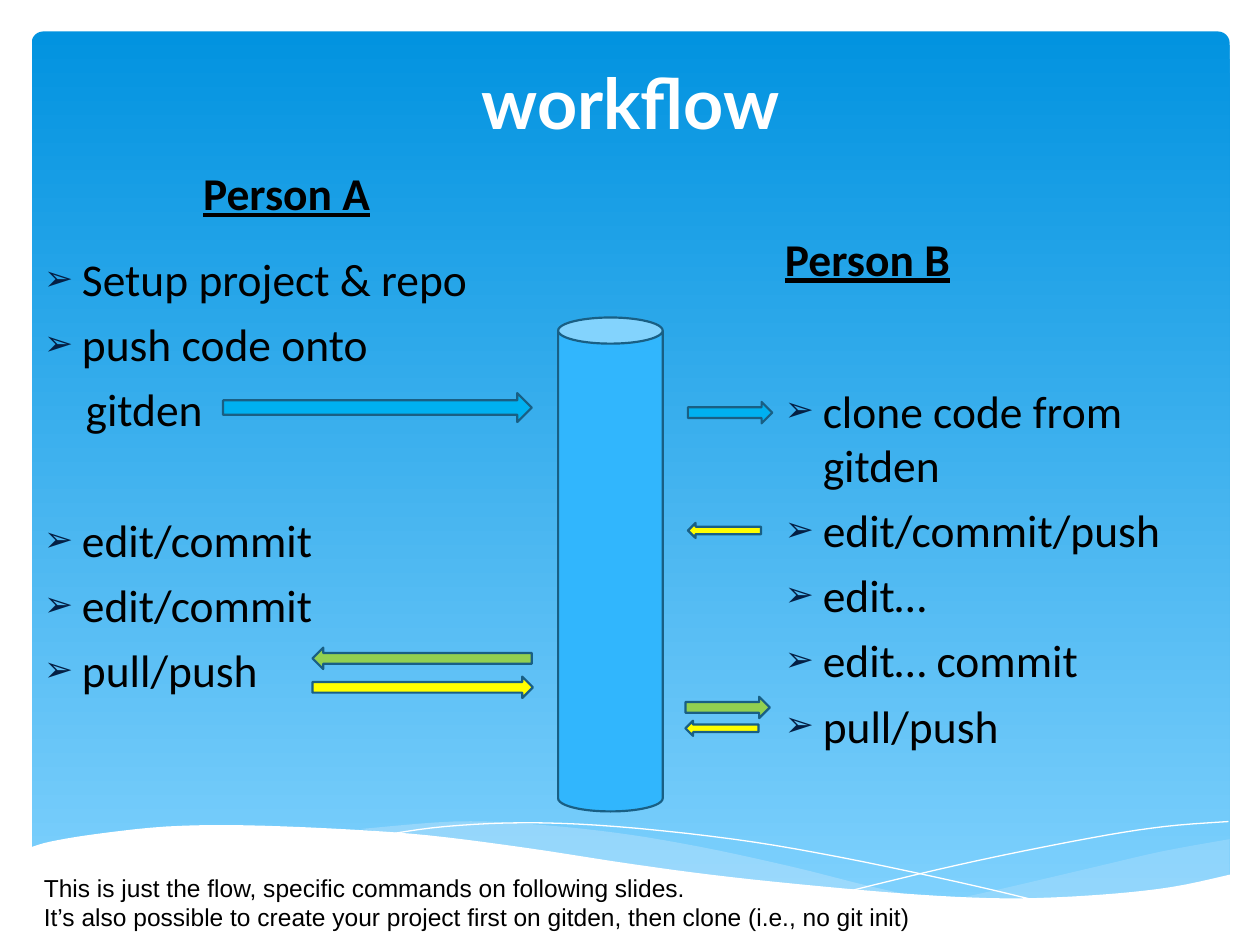
from lxml.etree import SubElement
from pptx import Presentation
from pptx.dml.color import RGBColor
from pptx.enum.shapes import MSO_SHAPE
from pptx.enum.text import MSO_ANCHOR, MSO_AUTO_SIZE, PP_ALIGN
from pptx.oxml.ns import qn
from pptx.util import Inches, Pt

COLORS = {
    "white": "FFFFFF", "black": "000000", "bullet": "041F44",
    "sky_top": "0293E0", "sky_bottom": "83D3FE", "mist": "C6E7FC",
    "outline": "195F84", "cylinder": "31B6FD",
    "blue": "00B0F0", "green": "92D050", "yellow": "FFFF00",
}
BLANK_LINE = 37.7

BACK_WAVE = [
    [(9.76, 6.66), (9.21, 6.76), (8.61, 6.9), (7.79, 7.09), (7.06, 7.24), (6.61, 7.32)],
    [(6.61, 7.32), (7.19, 7.39), (7.81, 7.44), (8.35, 7.44), (8.81, 7.4), (9.28, 7.3), (9.76, 7.14)],
]
MIDDLE_WAVE = [
    [(8.93, 7.39), (8.07, 7.27), (7.06, 7.07), (6.29, 6.88), (5.55, 6.72), (4.89, 6.61),
     (4.2, 6.54), (3.61, 6.52), (2.86, 6.58)],
    [(2.86, 6.58), (3.62, 6.69), (4.49, 6.88), (5.66, 7.15), (6.5, 7.3), (7.22, 7.4),
     (7.85, 7.45), (8.38, 7.45), (8.93, 7.39)],
]
FALLING_LINE = [[(3.09, 6.62), (3.53, 6.56), (4.16, 6.53), (4.89, 6.56), (5.82, 6.66),
                 (6.65, 6.8), (7.6, 7), (8.31, 7.17), (9.07, 7.38)]]
RISING_LINE = [[(6.13, 7.23), (6.95, 7.02), (7.76, 6.83), (8.66, 6.65), (9.24, 6.56), (9.75, 6.52)]]
FRONT_WAVE = [
    [(9.77, 6.94), (9.3, 7.04), (8.75, 7.1), (8.09, 7.13), (7.44, 7.11), (6.68, 7.05),
     (5.79, 6.96), (5.03, 6.86), (4.18, 6.73), (3.4, 6.63), (2.71, 6.58), (1.93, 6.55),
     (1.32, 6.56), (0.76, 6.62), (0.4, 6.68), (0.23, 6.73)],
    [(0.23, 7.47), (9.77, 7.47)],
]


def smooth(knots, steps=5):
    if len(knots) < 3:
        return knots
    padded = [knots[0], *knots, knots[-1]]
    points = []
    for a, b, c, d in zip(padded, padded[1:], padded[2:], padded[3:]):
        for step in range(steps):
            t = step / steps
            points.append(tuple(
                q + t / 2 * (r - p + t * (2 * p - 5 * q + 4 * r - s + t * (3 * (q - r) + s - p)))
                for p, q, r, s in zip(a, b, c, d)))
    return points + [knots[-1]]


class SlideBuilder:
    body_font = "Calibri"
    body_size = 26

    def __init__(self, page):
        self.page = page

    def color(self, name):
        return RGBColor.from_string(COLORS[name])

    def format_runs(self, paragraph, font, size, color, bold=False, underline=False):
        for span in paragraph.runs:
            span.font.name = font
            span.font.size = Pt(size)
            span.font.color.rgb = self.color(color)
            span.font.bold = bold
            span.font.underline = underline

    def place(self, box, left, top, width, height):
        box.left, box.top = Inches(left), Inches(top)
        box.width, box.height = Inches(width), Inches(height)
        box.element.getparent().append(box.element)
        box.text_frame.auto_size = MSO_AUTO_SIZE.NONE
        box.text_frame.word_wrap = True

    def sky(self, left, top, width, height):
        panel = self.page.shapes.add_shape(
            MSO_SHAPE.ROUNDED_RECTANGLE, Inches(left), Inches(top), Inches(width), Inches(height))
        panel.adjustments[0] = 0.013
        panel.shadow.inherit = False
        panel.line.fill.background()
        panel.fill.gradient()
        panel.fill.gradient_angle = 270
        for stop, name in zip(panel.fill.gradient_stops, ("sky_top", "sky_bottom")):
            stop.color.rgb = self.color(name)

    def curve(self, parts, fill=None, opacity=None):
        points = [(Inches(x), Inches(y)) for part in parts for x, y in smooth(part)]
        builder = self.page.shapes.build_freeform(*points[0])
        builder.add_line_segments(points[1:], close=fill is not None)
        shape = builder.convert_to_shape()
        shape.shadow.inherit = False
        if fill is None:
            shape.fill.background()
            shape.line.color.rgb = self.color("white")
            shape.line.width = Pt(0)
            return
        shape.line.fill.background()
        shape.fill.solid()
        shape.fill.fore_color.rgb = self.color(fill)
        if opacity:
            solid = shape.element.spPr.find(qn("a:solidFill"))
            SubElement(solid[0], qn("a:alpha"), val=str(opacity * 1000))

    def title(self, text, *place):
        box = self.page.shapes.title
        self.place(box, *place)
        box.text_frame.text = text
        box.text_frame.vertical_anchor = MSO_ANCHOR.MIDDLE
        paragraph = box.text_frame.paragraphs[0]
        paragraph.alignment = PP_ALIGN.CENTER
        self.format_runs(paragraph, "Lato", 40, "white", bold=True)

    def set_bullet(self, paragraph, bulleted, margin):
        properties = paragraph._p.get_or_add_pPr()
        properties.set("marL", str(Inches(margin)))
        properties.set("indent", str(Inches(-margin if bulleted else 0)))
        if not bulleted:
            SubElement(properties, qn("a:buNone"))
            return
        color = SubElement(properties, qn("a:buClr"))
        SubElement(color, qn("a:srgbClr"), val=COLORS["bullet"])
        SubElement(properties, qn("a:buSzPct"), val="76000")
        SubElement(properties, qn("a:buChar"), char="➢")

    def person(self, index, heading, alignment, items, *place):
        box = self.page.placeholders[index]
        self.place(box, *place)
        frame = box.text_frame
        frame.vertical_anchor = MSO_ANCHOR.TOP
        first = frame.paragraphs[0]
        first.text = heading
        self.set_bullet(first, False, 0)
        first.alignment = alignment
        first.space_before, first.space_after = Pt(0), Pt(12)
        self.format_runs(first, self.body_font, self.body_size, "black", True, True)
        for text, bulleted, gap in items:
            paragraph = frame.add_paragraph()
            paragraph.text = text
            self.set_bullet(paragraph, bulleted, 0.3 if bulleted else 0.33)
            paragraph.space_before = Pt(6 + gap)
            self.format_runs(paragraph, self.body_font, self.body_size, "black")

    def note(self, lines, left, top, width, height):
        box = self.page.shapes.add_textbox(Inches(left), Inches(top), Inches(width), Inches(height))
        box.text_frame.word_wrap = True
        box.text_frame.text = "\n".join(lines)
        for paragraph in box.text_frame.paragraphs:
            self.format_runs(paragraph, "Arial", 14, "black")

    def solid(self, kind, fill, left, top, width, height, rotation=0):
        shape = self.page.shapes.add_shape(
            kind, Inches(left), Inches(top), Inches(width), Inches(height))
        shape.shadow.inherit = False
        shape.rotation = rotation
        shape.fill.solid()
        shape.fill.fore_color.rgb = self.color(fill)
        shape.line.color.rgb = self.color("outline")
        shape.line.width = Pt(1.25)


def main():
    deck = Presentation()
    deck.slide_width, deck.slide_height = Inches(10), Inches(7.5)
    slide = SlideBuilder(deck.slides.add_slide(deck.slide_layouts[3]))

    slide.sky(0.25, 0.25, 9.51, 7.16)
    slide.curve(BACK_WAVE, "mist", 29)
    slide.curve(MIDDLE_WAVE, "mist", 40)
    slide.curve(FALLING_LINE)
    slide.curve(RISING_LINE)
    slide.curve(FRONT_WAVE, "white")

    slide.title("workflow", 0.83, 0.3, 8.35, 1.01)
    slide.person(1, "Person A", PP_ALIGN.CENTER, [
        ("Setup project & repo", True, 0), ("push code onto", True, 0), ("gitden", False, 0),
        ("edit/commit", True, BLANK_LINE), ("edit/commit", True, 0), ("pull/push", True, 0),
    ], 0.25, 1.26, 4.05, 5.4)
    slide.person(2, "Person B", PP_ALIGN.LEFT, [
        ("clone code from gitden", True, BLANK_LINE), ("edit/commit/push", True, 0),
        ("edit…", True, 0), ("edit… commit", True, 0), ("pull/push", True, 0),
    ], 6.13, 1.78, 3.74, 5.4)
    slide.note([
        "This is just the flow, specific commands on following slides.",
        "It’s also possible to create your project first on gitden, then clone (i.e., no git init)",
    ], 0.25, 6.88, 7.5, 0.57)

    slide.solid(MSO_SHAPE.CAN, "cylinder", 4.43, 2.52, 0.83, 3.92)
    for arrow in [
        ("blue", 1.77, 3.12, 2.45, 0.23), ("green", 2.48, 5.14, 1.74, 0.17, 180),
        ("yellow", 2.48, 5.37, 1.75, 0.17), ("blue", 5.46, 3.19, 0.67, 0.17),
        ("yellow", 5.46, 4.15, 0.58, 0.12, 180), ("green", 5.44, 5.53, 0.67, 0.17),
        ("yellow", 5.44, 5.72, 0.58, 0.12, 180),
    ]:
        slide.solid(MSO_SHAPE.RIGHT_ARROW, *arrow)

    deck.save("out.pptx")


if __name__ == "__main__":
    main()
